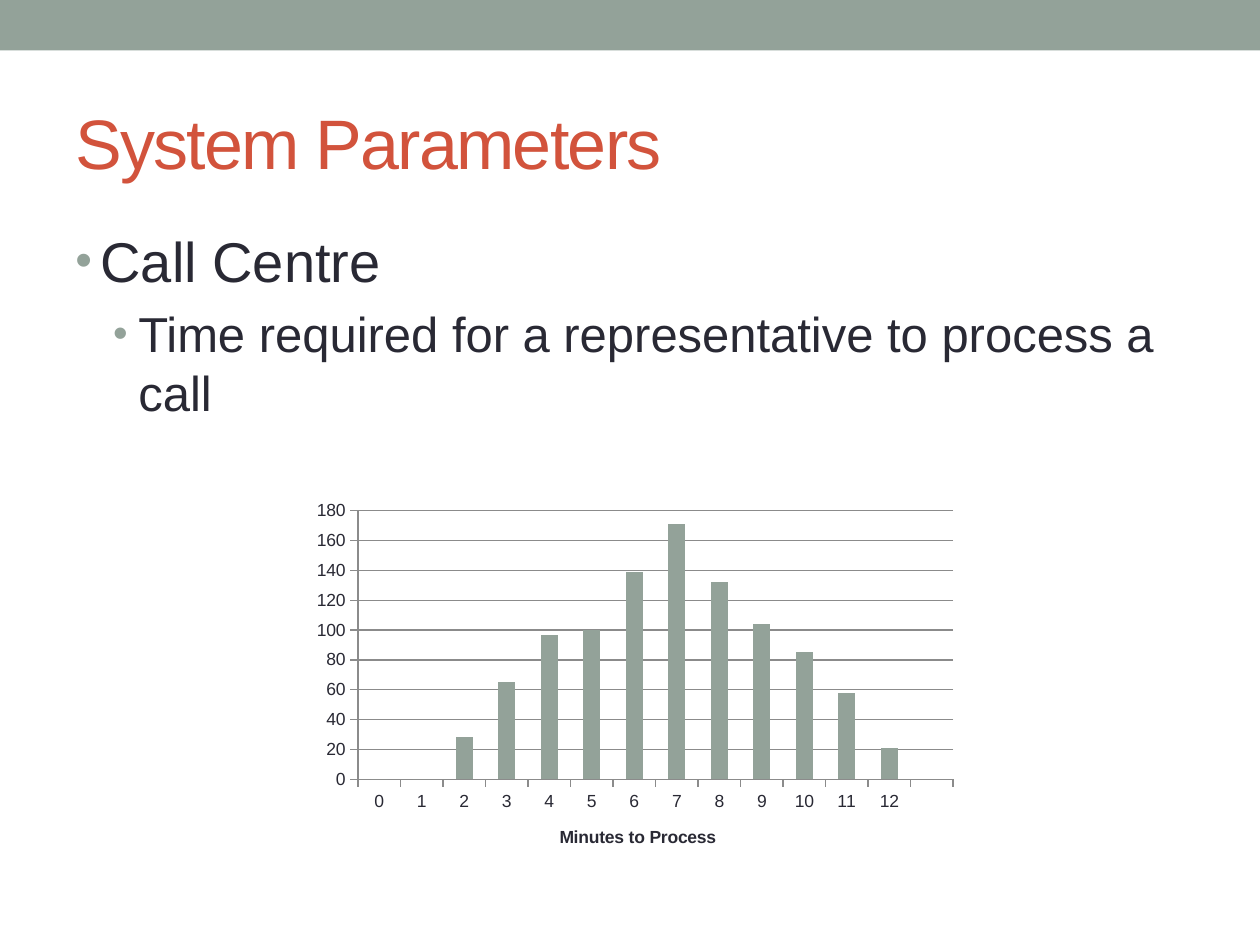
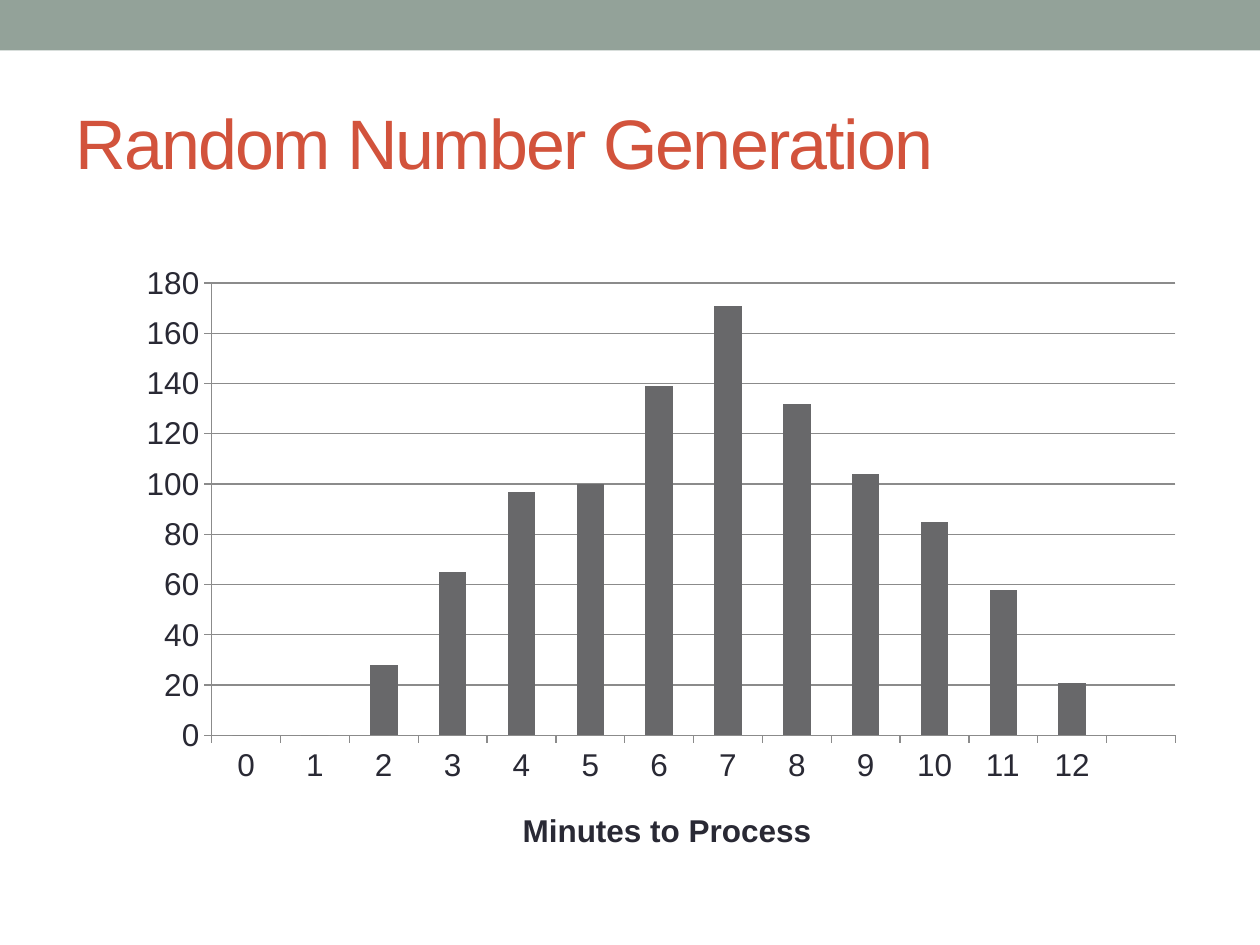
from dataclasses import dataclass

from lxml import etree
from pptx import Presentation
from pptx import util as u
from pptx.chart.data import CategoryChartData
from pptx.dml.color import RGBColor
from pptx.enum import chart as ch, shapes, text
from pptx.oxml import parse_xml
from pptx.oxml.ns import nsdecls, qn


@dataclass(frozen=True)
class Theme:
    font: str = "Arial"
    sage: str = "93A299"
    red: str = "D2533C"
    ink: str = "292934"
    bars: str = "68686A"
    rule: str = "8B8B8B"
    title: int = 40
    levels: tuple = (32, 28)
    width: float = 10
    height: float = 7.5
    margin: float = 0.5


T = Theme()
MINUTES = [str(n) for n in range(13)] + [""]
CALLS = [0, 0, 28, 65, 97, 100, 139, 171, 132, 104, 85, 58, 21, None]


def rgb(value):
    return RGBColor.from_string(value)


def style(font, size, color=T.ink, bold=False):
    font.name = T.font
    font.size = u.Pt(size)
    font.bold = bold
    font.color.rgb = rgb(color)


def text_box(s, box, anchor=text.MSO_ANCHOR.TOP):
    tf = s.shapes.add_textbox(*map(u.Inches, box)).text_frame
    tf.word_wrap = True
    tf.vertical_anchor = anchor
    return tf


def add_text(p, content, size, color=T.ink, spacing=0):
    r = p.add_run()
    r.text = content
    style(r.font, size, color)
    if spacing:
        r.font._element.set("spc", str(spacing * 100))


def add_bullet(p, level):
    pPr = p._p.get_or_add_pPr()
    p.level = level
    pPr.set("marL", str(u.Inches(0.2 + 0.3 * level)))
    pPr.set("indent", str(u.Inches(-0.2)))
    parts = (
        '<a:spcBef {}><a:spcPct val="20000"/></a:spcBef>',
        '<a:buClr {}><a:srgbClr val="%s"/></a:buClr>' % T.sage,
        '<a:buSzPct {} val="85000"/>',
        '<a:buFont {} typeface="Arial"/>',
        '<a:buChar {} char="\u2022"/>',
    )
    for part in parts:
        pPr.append(parse_xml(part.format(nsdecls("a"))))


def add_body(s, box, items):
    tf = text_box(s, box)
    for i, (level, content) in enumerate(items):
        p = tf.add_paragraph() if i else tf.paragraphs[0]
        add_bullet(p, level)
        add_text(p, content, T.levels[level])


def place(parent, after, shares, inner=False):
    for old in parent.findall(qn("c:layout")):
        parent.remove(old)
    layout = etree.Element(qn("c:layout"))
    manual = etree.SubElement(layout, qn("c:manualLayout"))
    if inner:
        etree.SubElement(manual, qn("c:layoutTarget"), val="inner")
    for key in ("xMode", "yMode"):
        etree.SubElement(manual, qn("c:" + key), val="edge")
    for key, share in zip("xywh", shares):
        etree.SubElement(manual, qn("c:" + key), val=str(share))
    if after is None:
        parent.insert(0, layout)
    else:
        after.addnext(layout)


def style_axis(axis, size):
    style(axis.tick_labels.font, size)
    axis.major_tick_mark = ch.XL_TICK_MARK.OUTSIDE
    axis.minor_tick_mark = ch.XL_TICK_MARK.NONE
    axis.format.line.color.rgb = rgb(T.rule)
    axis.format.line.width = u.Pt(0.75)


def add_histogram(s, box, size, color, plot_area, title_at):
    data = CategoryChartData()
    data.categories = MINUTES
    data.add_series("Series 1", CALLS)
    chart = s.shapes.add_chart(ch.XL_CHART_TYPE.COLUMN_CLUSTERED,
                               *map(u.Inches, box), data).chart
    style(chart.font, size)
    chart.has_legend = False
    chart.has_title = False
    plot = chart.plots[0]
    plot.gap_width = 150
    plot.vary_by_categories = False
    fill = plot.series[0].format.fill
    fill.solid()
    fill.fore_color.rgb = rgb(color)

    across, up = chart.category_axis, chart.value_axis
    for axis in (across, up):
        style_axis(axis, size)
    up.minimum_scale, up.maximum_scale, up.major_unit = 0, 180, 20
    up.has_major_gridlines = True
    grid = up.major_gridlines.format.line
    grid.color.rgb = rgb(T.rule)
    grid.width = u.Pt(0.75)

    tf = across.axis_title.text_frame
    tf.text = "Minutes to Process"
    style(tf.paragraphs[0].runs[0].font, size, bold=True)
    title = across.axis_title._element
    place(title, title.find(qn("c:tx")), title_at)
    place(chart._chartSpace.chart.plotArea, None, plot_area, inner=True)


def add_slide(prs, title):
    s = prs.slides.add_slide(prs.slide_layouts[6])
    band = s.shapes.add_shape(shapes.MSO_SHAPE.RECTANGLE, 0, 0,
                              u.Inches(T.width), u.Inches(0.4))
    band.shadow.inherit = False
    band.fill.solid()
    band.fill.fore_color.rgb = rgb(T.sage)
    band.line.fill.background()
    box = (T.margin, 0.58, T.width - 2 * T.margin, 1.08)
    tf = text_box(s, box, text.MSO_ANCHOR.MIDDLE)
    add_text(tf.paragraphs[0], title, T.title, T.red, spacing=-1)
    return s


def main():
    prs = Presentation()
    prs.slide_width, prs.slide_height = u.Inches(T.width), u.Inches(T.height)

    s = add_slide(prs, "System Parameters")
    add_body(s, (T.margin, 1.75, T.width - 2 * T.margin, 5.33), [
        (0, "Call Centre"),
        (1, "Time required for a representative to process a call"),
    ])
    add_histogram(s, (2.42, 3.92, 5.25, 3), 10, T.sage,
                  (0.08, 0.045, 0.9, 0.71), (0.38, 0.87))

    s = add_slide(prs, "Random Number Generation")
    add_histogram(s, (1, 2, 8.5, 4.92), 18, T.bars,
                  (0.08, 0.05, 0.9, 0.73), (0.365, 0.89))

    prs.save("out.pptx")


main()
